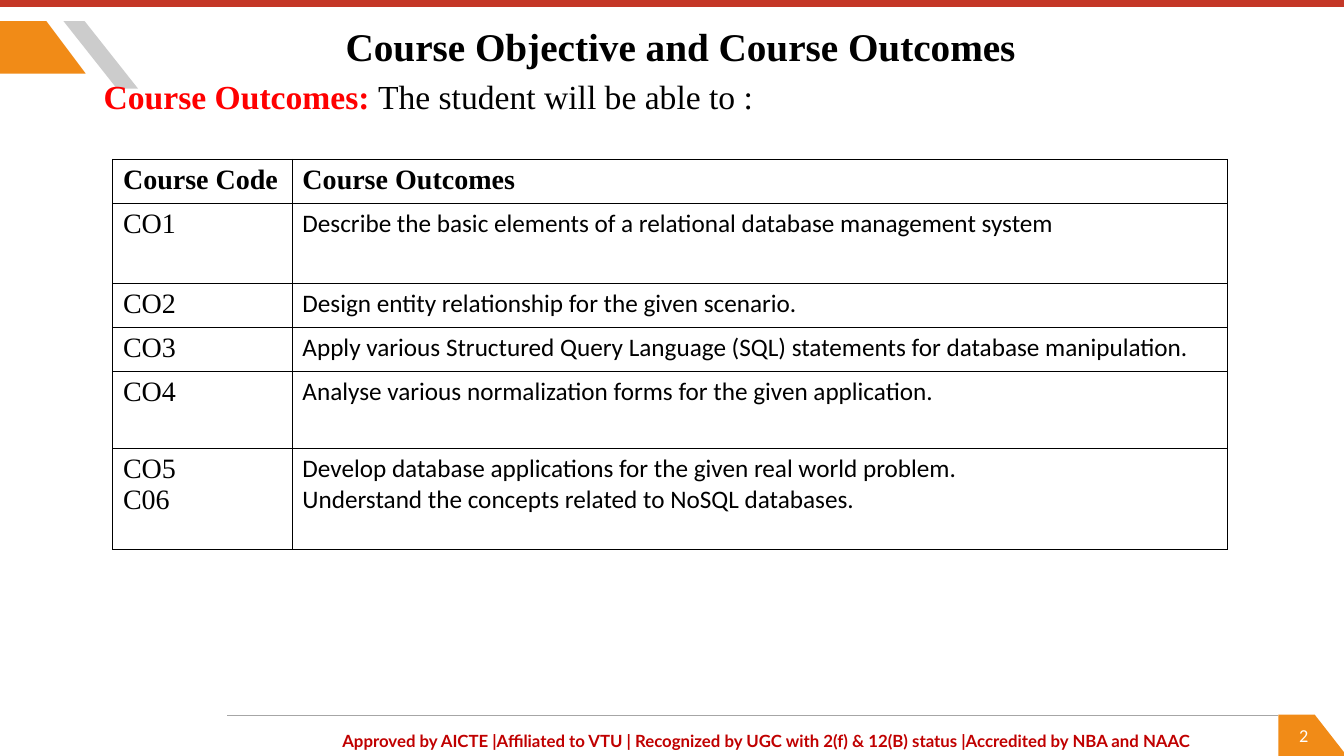
from lxml import etree
from pptx import Presentation
from pptx.dml.color import RGBColor
from pptx.enum.shapes import MSO_CONNECTOR, MSO_SHAPE
from pptx.enum.text import MSO_ANCHOR, PP_ALIGN
from pptx.oxml.ns import qn
from pptx.util import Emu, Inches, Pt

LEFT, CENTER, JUSTIFY = PP_ALIGN.LEFT, PP_ALIGN.CENTER, PP_ALIGN.JUSTIFY
TOP, MIDDLE = MSO_ANCHOR.TOP, MSO_ANCHOR.MIDDLE
SERIF, SANS, FOOTER_FONT = "Times New Roman", "Calibri", "Lato"
BLACK, WHITE, RED = "000000", "FFFFFF", "FF0000"
ORANGE, BRICK, CRIMSON, GREY, RULE = "F18B17", "C43727", "C00000", "808080", "A6A6A6"

# Content
TITLE = "Course Objective and Course Outcomes"
INTRO = [("Course Outcomes: ", RED, True), ("The student will be able to :", BLACK, False)]
HEADER = ("Course Code", "Course Outcomes")
OUTCOMES = [
    ("CO1", "Describe the basic elements of a relational database management system"),
    ("CO2", "Design entity relationship for the given scenario."),
    ("CO3", "Apply various Structured Query Language (SQL) statements for database manipulation."),
    ("CO4", "Analyse various normalization forms for the given application."),
    ("CO5\nC06", "Develop database applications for the given real world problem.\n"
                 "Understand the concepts related to NoSQL databases."),
]
FOOTER = ("Approved by AICTE |Affiliated to VTU | Recognized by UGC with 2(f) & 12(B) status "
          "|Accredited by NBA and NAAC")
PAGE_NUMBER = "2"

# Layout in inches: boxes are left, top, width, height
WIDTH, HEIGHT = 13.33, 7.5
TITLE_BOX = (1.12, 0.17, 11.26, 0.54)
INTRO_BOX = (0.93, 0.7, 11.56, 5.89)
FOOTER_BOX = (2.72, 7.2, 9.77, 0.3)
NUMBER_BOX = (12.71, 7.14, 0.44, 0.4)
TABLE_LEFT, TABLE_TOP = 1.12, 1.58
COLUMN_WIDTHS = (1.78, 9.27)
ROW_HEIGHTS = (0.44, 0.79, 0.44, 0.44, 0.76, 1.0)
RULE_START, RULE_END, RULE_TOP = 2.25, 12.68, 7.1
ORNAMENTS = [  # outline, colour, opacity in percent
    ([(0, 0.21), (0.46, 0.21), (0.85, 0.73), (0, 0.73)], ORANGE, 100),
    ([(0.63, 0.21), (0.84, 0.21), (1.37, 0.88), (1.16, 0.88)], GREY, 40),
    ([(12.68, 7.09), (13.04, 7.09), (13.36, 7.5), (12.68, 7.5)], ORANGE, 100),
]


def color(value):
    return RGBColor.from_string(value)


def inches(values):
    return [Inches(value) for value in values]


def paint(shape, fill, opacity=100):
    shape.shadow.inherit = False
    shape.fill.solid()
    shape.fill.fore_color.rgb = color(fill)
    shape.line.fill.background()
    if opacity < 100:
        fill_color = shape.fill._xPr.find(qn("a:solidFill"))[0]
        etree.SubElement(fill_color, qn("a:alpha"), val=str(opacity * 1000))


def style_run(run, font, size, fill, bold=False):
    run.font.name, run.font.size, run.font.bold = font, Pt(size), bold
    run.font.color.rgb = color(fill)


def write(text_frame, text, font, size, fill, bold=False, align=LEFT, anchor=TOP):
    text_frame.word_wrap = True
    text_frame.vertical_anchor = anchor
    text_frame.text = text
    for paragraph in text_frame.paragraphs:
        paragraph.alignment = align
        for run in paragraph.runs:
            style_run(run, font, size, fill, bold)


def add_borders(cell):
    properties = cell._tc.get_or_add_tcPr()
    for position, side in enumerate(("lnL", "lnR", "lnT", "lnB")):
        line = etree.Element(qn("a:" + side), w=str(Pt(0.75)))
        solid = etree.SubElement(line, qn("a:solidFill"))
        etree.SubElement(solid, qn("a:srgbClr"), val=BLACK)
        properties.insert(position, line)


presentation = Presentation()
presentation.slide_width, presentation.slide_height = inches((WIDTH, HEIGHT))
slide = presentation.slides.add_slide(presentation.slide_layouts[5])
shapes = slide.shapes

# Footer rule, top band and slanted ornaments
rule = shapes.add_connector(
    MSO_CONNECTOR.STRAIGHT, *inches((RULE_END, RULE_TOP, RULE_START, RULE_TOP)))
rule.line.color.rgb = color(RULE)
rule.line.width = Pt(1)
etree.SubElement(rule._element.spPr, qn("a:effectLst"))

paint(shapes.add_shape(MSO_SHAPE.RECTANGLE, *inches((0, 0, WIDTH, 0.07))), BRICK)
for outline, fill, opacity in ORNAMENTS:
    start, *others = [inches(point) for point in outline]
    builder = shapes.build_freeform(*start)
    builder.add_line_segments(others)
    paint(builder.convert_to_shape(), fill, opacity)

# Page number and footer
number = shapes.add_textbox(*inches(NUMBER_BOX))
write(number.text_frame, PAGE_NUMBER, SANS, 13, WHITE, align=CENTER)
footer = shapes.add_textbox(*inches(FOOTER_BOX))
write(footer.text_frame, FOOTER, FOOTER_FONT, 12, CRIMSON, True, CENTER, MIDDLE)

# Title and introduction
title = shapes.title
title.left, title.top, title.width, title.height = inches(TITLE_BOX)
write(title.text_frame, TITLE, SERIF, 28, BLACK, True, CENTER)

intro = shapes.add_textbox(*inches(INTRO_BOX))
intro.text_frame.word_wrap = True
intro_line = intro.text_frame.paragraphs[0]
intro_line.alignment = JUSTIFY
for text, fill, bold in INTRO:
    run = intro_line.add_run()
    run.text = text
    style_run(run, SERIF, 24, fill, bold)

# Outcomes table
rows = [HEADER] + OUTCOMES
table = shapes.add_table(
    len(rows), len(HEADER),
    *inches((TABLE_LEFT, TABLE_TOP, sum(COLUMN_WIDTHS), sum(ROW_HEIGHTS)))).table
table.horz_banding = False
for column, width in zip(table.columns, COLUMN_WIDTHS):
    column.width = Inches(width)
for row_index, (row, height) in enumerate(zip(rows, ROW_HEIGHTS)):
    table.rows[row_index].height = Emu(Inches(height))
    for column_index, text in enumerate(row):
        cell = table.cell(row_index, column_index)
        is_header = row_index == 0
        serif = is_header or column_index == 0
        font, size, align = (SERIF, 20, JUSTIFY) if serif else (SANS, 18, LEFT)
        write(cell.text_frame, text, font, size, BLACK, is_header, align)
        cell.fill.background()
        add_borders(cell)

presentation.save("out.pptx")
